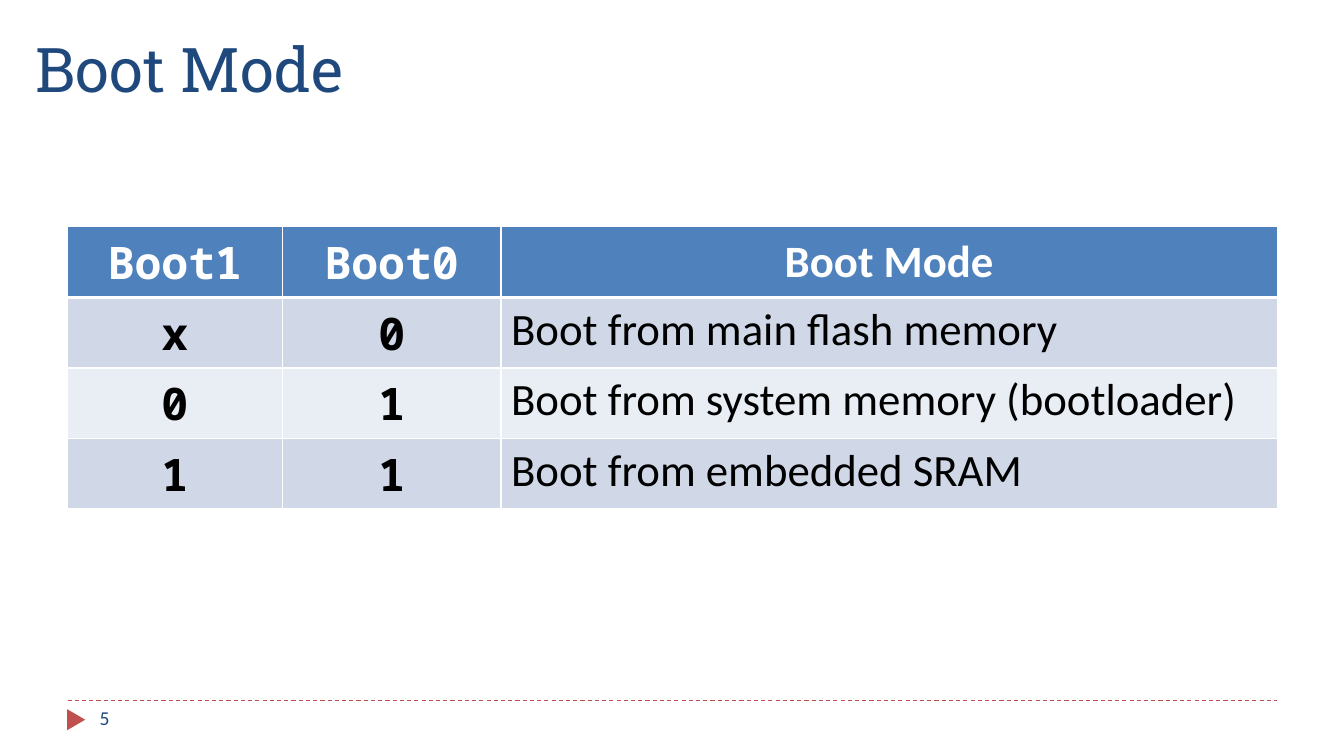
"""Build the Boot Mode slide with its table of boot pin settings."""
import lxml.etree
import pptx
import pptx.dml.color
import pptx.enum.dml
import pptx.enum.shapes
import pptx.enum.text
import pptx.oxml.ns
import pptx.util
from dataclasses import dataclass
from pptx.util import Inches


@dataclass(frozen=True)
class Theme:
    navy: str = "1F497D"
    red: str = "C0504D"
    blue: str = "4F81BD"
    dark: str = "D0D8E8"
    light: str = "E9EDF4"
    white: str = "FFFFFF"
    black: str = "000000"
    slab: str = "Roboto Slab"
    sans: str = "Calibri"
    mono: str = "Noto Sans Mono"
    title: int = 44
    body: int = 32
    small: int = 14


theme = Theme()
rgb = pptx.dml.color.RGBColor.from_string
anchors = pptx.enum.text.MSO_ANCHOR
qn = pptx.oxml.ns.qn


def write(frame, text, face, size, color, bold=False):
    frame.text = text
    font = frame.paragraphs[0].runs[0].font
    font.name = face
    font.size = pptx.util.Pt(size)
    font.bold = bold
    font.color.rgb = rgb(color)


def edge(cell, side, width):
    props = cell._tc.get_or_add_tcPr()
    line = lxml.etree.SubElement(props, qn("a:" + side), w=str(pptx.util.Pt(width)))
    fill = lxml.etree.SubElement(line, qn("a:solidFill"))
    lxml.etree.SubElement(fill, qn("a:srgbClr"), val=theme.white)


deck = pptx.Presentation()
deck.slide_width = Inches(13.33)
deck.slide_height = Inches(7.5)
slide = deck.slides.add_slide(deck.slide_layouts[6])
shapes = slide.shapes

rule = shapes.add_connector(
    pptx.enum.shapes.MSO_CONNECTOR.STRAIGHT,
    Inches(0.67), Inches(6.95), Inches(12.67), Inches(6.95))
rule.line.color.rgb = rgb(theme.red)
rule.line.width = pptx.util.Pt(0.75)
rule.line.dash_style = pptx.enum.dml.MSO_LINE.DASH
lxml.etree.SubElement(rule._element.spPr, qn("a:effectLst"))

mark = shapes.add_shape(
    pptx.enum.shapes.MSO_SHAPE.ISOSCELES_TRIANGLE,
    Inches(0.65), Inches(7.05), Inches(0.21), Inches(0.18))
mark.rotation = 90
mark.shadow.inherit = False
mark.fill.solid()
mark.fill.fore_color.rgb = rgb(theme.red)
mark.line.fill.background()

labels = [
    ("5", (0.89, 6.95, 2.89, 0.4), theme.sans, theme.small, anchors.TOP),
    ("Boot Mode", (0.25, 0.17, 11.75, 0.92), theme.slab, theme.title, anchors.BOTTOM),
]
for text, place, face, size, anchor in labels:
    frame = shapes.add_textbox(*map(Inches, place)).text_frame
    frame.word_wrap = True
    frame.vertical_anchor = anchor
    write(frame, text, face, size, theme.navy)

rows = [
    ("Boot1", "Boot0", "Boot Mode"),
    ("x", "0", "Boot from main flash memory"),
    ("0", "1", "Boot from system memory (bootloader)"),
    ("1", "1", "Boot from embedded SRAM"),
]
widths = [2.13, 2.17, 7.7]
table = shapes.add_table(
    len(rows), len(widths),
    Inches(0.67), Inches(2.25), Inches(12), Inches(2.8)).table
for column, width in zip(table.columns, widths):
    column.width = Inches(width)

for r, row in enumerate(rows):
    head = r == 0
    shade = theme.blue if head else (theme.light, theme.dark)[r % 2]
    for c, text in enumerate(row):
        cell = table.cell(r, c)
        pin = c < 2
        for side in ("lnL", "lnR", "lnT", "lnB"):
            thick = (r, side) in ((0, "lnB"), (1, "lnT"))
            edge(cell, side, 3 if thick else 1)
        cell.fill.solid()
        cell.fill.fore_color.rgb = rgb(shade)
        write(cell.text_frame, text, theme.mono if pin else theme.sans,
              theme.body, theme.white if head else theme.black, head or pin)
        if head or pin:
            cell.text_frame.paragraphs[0].alignment = pptx.enum.text.PP_ALIGN.CENTER
        if head and not pin:
            cell.vertical_anchor = anchors.MIDDLE

deck.save("out.pptx")
